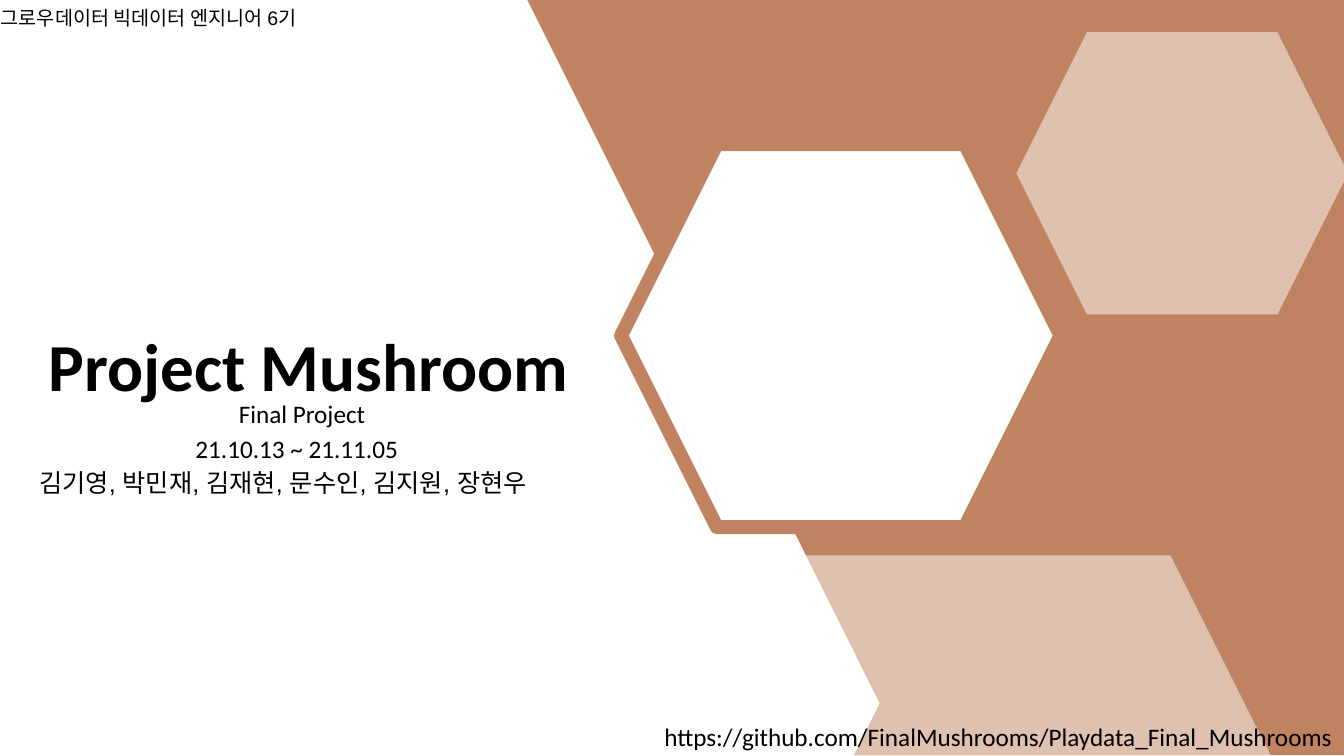
from pptx import Presentation
from pptx.dml.color import RGBColor
from pptx.enum.shapes import MSO_SHAPE
from pptx.enum.text import MSO_ANCHOR, MSO_AUTO_SIZE, PP_ALIGN
from pptx.oxml.ns import qn
from pptx.util import Inches, Pt
from lxml.etree import SubElement

THEME = {
    "brown": RGBColor(0xC0, 0x83, 0x61),
    "white": RGBColor(0xFF, 0xFF, 0xFF),
    "black": RGBColor(0, 0, 0),
    "title": 48, "body": 18, "small": 14,
    "latin": "Calibri", "korean": "Arial",
}


def paint(sp, color, opacity=100):
    sp.shadow.inherit = False
    sp.line.fill.background()
    sp.fill.solid()
    sp.fill.fore_color.rgb = THEME[color]
    if opacity < 100:
        clr = sp.fill._xPr.find(qn("a:solidFill"))[0]
        SubElement(clr, qn("a:alpha"), val=str(opacity * 1000))


def write(sp, text, size="body", font="latin", bold=False, wrap=True):
    tf = sp.text_frame
    tf.word_wrap = wrap
    tf.auto_size = MSO_AUTO_SIZE.SHAPE_TO_FIT_TEXT
    tf.vertical_anchor = MSO_ANCHOR.TOP
    p = tf.paragraphs[0]
    p.alignment = PP_ALIGN.LEFT
    p.line_spacing = 1.0
    r = p.add_run()
    r.text = text
    r.font.size = Pt(THEME[size])
    r.font.name = THEME[font]
    r.font.bold = bold
    r.font.color.rgb = THEME["black"]


prs = Presentation()
prs.slide_width, prs.slide_height = Inches(13.33), Inches(7.5)
s = prs.slides.add_slide(prs.slide_layouts[5])

# Background panels, from back to front: colour, opacity, corners
panels = [
    ("white", 60, [(0, -0.14), (3.83, -0.14), (6.49, 5.19), (5.4, 7.36), (0, 7.36)]),
    ("brown", 100, [(5.23, 0), (7.83, 0), (6.53, 2.6)]),
    ("brown", 100, [(7.69, 0), (8.88, 0), (9.58, 1.41), (6.99, 1.41)]),
    ("brown", 100, [(8.82, 0), (13.33, 0), (13.33, 3.03), (11.83, 6.03)]),
    ("brown", 100, [(12.21, 0), (12.6, 0), (13.33, 1.46), (13.33, 7.49), (8.47, 7.49)]),
    ("brown", 100, [(7.83, 5.18), (10.42, 5.18), (9.27, 7.49), (8.98, 7.49)]),
    ("white", 50, [(6.96, 5.51), (11.61, 5.51), (12.6, 7.49), (5.96, 7.49)]),
]
for color, opacity, corners in panels:
    start, *rest = [(Inches(x), Inches(y)) for x, y in corners]
    outline = s.shapes.build_freeform(*start)
    outline.add_line_segments(rest, close=True)
    paint(outline.convert_to_shape(), color, opacity)

# Hexagons: one outlined, one translucent
frame = s.shapes.add_shape(MSO_SHAPE.HEXAGON, Inches(6.16), Inches(1.43), Inches(4.36), Inches(3.8))
frame.shadow.inherit = False
frame.fill.background()
frame.line.color.rgb = THEME["brown"]
frame.line.width = Pt(10)
accent = s.shapes.add_shape(MSO_SHAPE.HEXAGON, Inches(10.08), Inches(0.32), Inches(3.29), Inches(2.8))
paint(accent, "white", 50)

# Title, brought in front of the panels
title = s.shapes.title
title.left, title.top, title.width, title.height = Inches(0.38), Inches(3.17), Inches(7.71), Inches(0.91)
write(title, "Project Mushroom", size="title", bold=True)
title.element.getparent().append(title.element)

# Captions: left, top, width, height, text, format
captions = [
    (0.29, 4.59, 5.51, 0.4, "김기영, 박민재, 김재현, 문수인, 김지원, 장현우", {"font": "korean"}),
    (-0.09, 0.01, 4.65, 0.34, "그로우데이터 빅데이터 엔지니어 6기", {"font": "korean", "size": "small"}),
    (2.27, 3.9, 1.56, 0.4, "Final Project", {}),
    (6.49, 7.11, 6.99, 0.4, "https://github.com/FinalMushrooms/Playdata_Final_Mushrooms", {}),
    (1.84, 4.25, 2.23, 0.4, "21.10.13 ~ 21.11.05", {"wrap": False}),
]
for x, y, w, h, text, style in captions:
    write(s.shapes.add_textbox(Inches(x), Inches(y), Inches(w), Inches(h)), text, **style)

prs.save("out.pptx")
